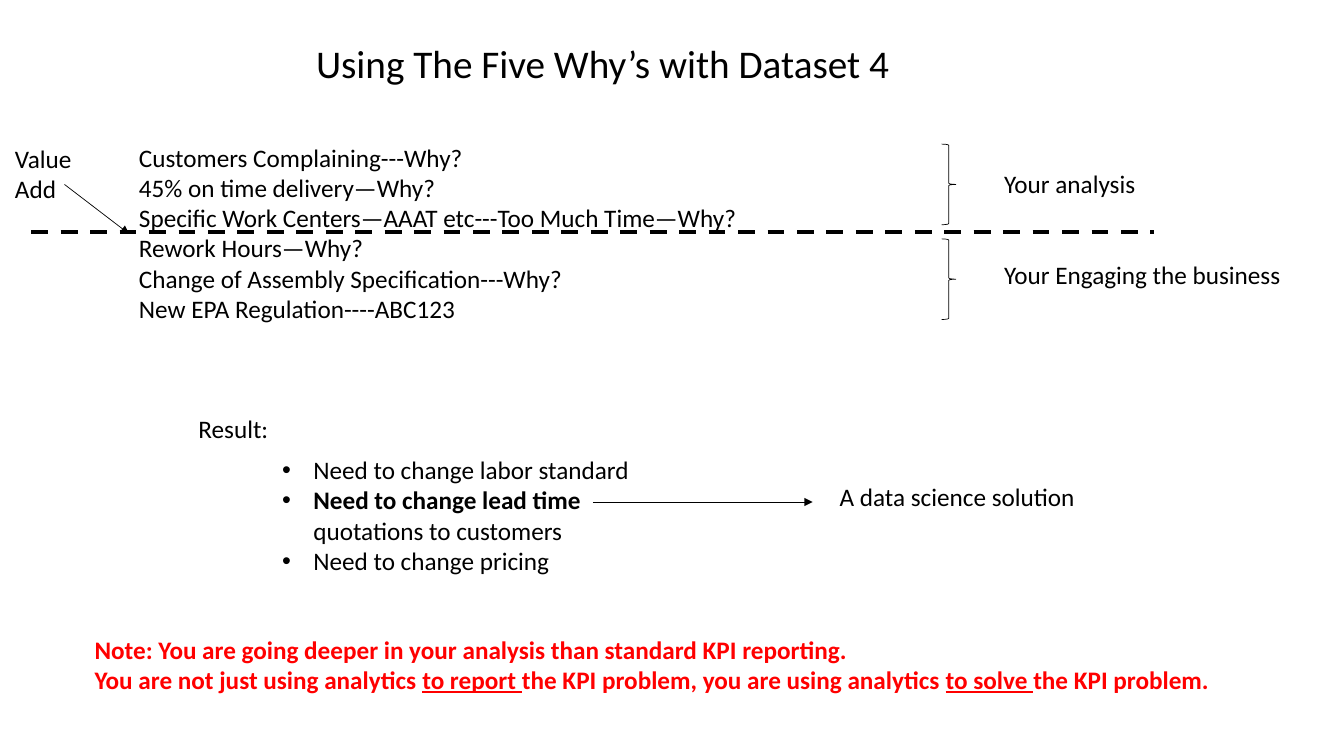
from lxml import etree
from pptx import Presentation
from pptx.dml.color import RGBColor
from pptx.enum.dml import MSO_LINE
from pptx.enum.shapes import MSO_CONNECTOR, MSO_SHAPE
from pptx.enum.text import MSO_ANCHOR, MSO_AUTO_SIZE, PP_ALIGN
from pptx.oxml.ns import qn
from pptx.util import Inches, Pt

BLACK = RGBColor(0x00, 0x00, 0x00)
RED = RGBColor(0xFF, 0x00, 0x00)
FONT = "Calibri"
STRAIGHT = MSO_CONNECTOR.STRAIGHT
RIGHT_BRACE = MSO_SHAPE.RIGHT_BRACE
DASH = MSO_LINE.DASH
TOP = MSO_ANCHOR.TOP
NO_AUTOFIT = MSO_AUTO_SIZE.NONE
LEFT = PP_ALIGN.LEFT
CENTER = PP_ALIGN.CENTER

WHYS = [
    "Customers Complaining---Why?",
    "45% on time delivery—Why?",
    "Specific Work Centers—AAAT etc---Too Much Time—Why?",
    "Rework Hours—Why?",
    "Change of Assembly Specification---Why?",
    "New EPA Regulation----ABC123",
]
RESULTS = [
    "Need to change labor standard",
    [("Need to change lead time ", {"bold": True}), ("quotations to customers", {})],
    "Need to change pricing",
]
NOTE = [
    "Note: You are going deeper in your analysis than standard KPI reporting.",
    [
        ("You are not just using analytics ", {}),
        ("to report ", {"underline": True}),
        ("the KPI problem, you are using analytics ", {}),
        ("to solve ", {"underline": True}),
        ("the KPI problem.", {}),
    ],
]


def add_bullet(para):
    properties = para._p.get_or_add_pPr()
    properties.set("marL", str(Inches(0.31)))
    properties.set("indent", str(-Inches(0.31)))
    etree.SubElement(properties, qn("a:buFont")).set("typeface", "Arial")
    etree.SubElement(properties, qn("a:buChar")).set("char", "•")


def add_span(para, text, size=18, color=BLACK, bold=False, underline=False):
    span = para.add_run()
    span.text = text
    span.font.name = FONT
    span.font.size = Pt(size)
    span.font.color.rgb = color
    span.font.bold = bold
    span.font.underline = underline


def write_text(box, paragraphs, align=LEFT, bullets=False, **font):
    frame = box.text_frame
    frame.word_wrap = True
    frame.auto_size = NO_AUTOFIT
    frame.vertical_anchor = TOP
    for index, content in enumerate(paragraphs):
        para = frame.add_paragraph() if index else frame.paragraphs[0]
        para.alignment = align
        if bullets:
            add_bullet(para)
        spans = [(content, {})] if isinstance(content, str) else content
        for text, extra in spans:
            add_span(para, text, **{**font, **extra})


def place_title(page, text, left, top, width, height):
    title = page.shapes.title
    title.left, title.top = Inches(left), Inches(top)
    title.width, title.height = Inches(width), Inches(height)
    write_text(title, [text], align=CENTER, size=28)


def add_text(page, paragraphs, left, top, width, height, **style):
    box = page.shapes.add_textbox(
        Inches(left), Inches(top), Inches(width), Inches(height))
    write_text(box, paragraphs, **style)


def add_line(page, start, end, weight=0.5, dashed=False, arrow=False):
    line = page.shapes.add_connector(
        STRAIGHT, *(Inches(value) for value in (*start, *end)))
    line.line.color.rgb = BLACK
    line.line.width = Pt(weight)
    if dashed:
        line.line.dash_style = DASH
    if arrow:
        outline = line.line._get_or_add_ln()
        etree.SubElement(outline, qn("a:tailEnd")).set("type", "triangle")
    etree.SubElement(line._element.spPr, qn("a:effectLst"))


def add_brace(page, top):
    brace = page.shapes.add_shape(
        RIGHT_BRACE, Inches(9.34), Inches(top), Inches(0.14), Inches(0.8))
    brace.shadow.inherit = False
    brace.fill.background()
    brace.line.color.rgb = BLACK
    brace.line.width = Pt(0.5)


def main():
    deck = Presentation()
    deck.slide_width, deck.slide_height = Inches(13.33), Inches(7.5)
    page = deck.slides.add_slide(deck.slide_layouts.get_by_name("Title Only"))

    place_title(page, "Using The Five Why’s with Dataset 4", 2, 0.34, 7.95, 0.57)
    add_text(page, WHYS, 1.28, 1.36, 8.48, 1.92)
    add_line(page, (0.31, 2.3), (11.45, 2.3), weight=3, dashed=True)
    add_text(page, ["Your analysis"], 9.86, 1.62, 2.49, 0.4)
    add_text(page, ["Your Engaging the business"], 9.86, 2.52, 3.13, 0.4)
    for top in (1.43, 2.37):
        add_brace(page, top)
    add_line(page, (0.64, 1.83), (1.28, 2.32), arrow=True)
    add_text(page, ["Value Add"], 0.05, 1.37, 1.18, 0.71)

    add_text(page, RESULTS, 2.7, 4.46, 3.96, 1.31, bullets=True)
    add_text(page, ["Result:"], 1.87, 4.05, 3.55, 0.4)
    add_text(page, NOTE, 0.84, 6.24, 11.66, 0.71, color=RED, bold=True)
    add_line(page, (5.88, 4.98), (8.06, 4.98), arrow=True)
    add_text(page, ["A data science solution"], 8.23, 4.73, 3.3, 0.4)

    deck.save("out.pptx")


if __name__ == "__main__":
    main()
